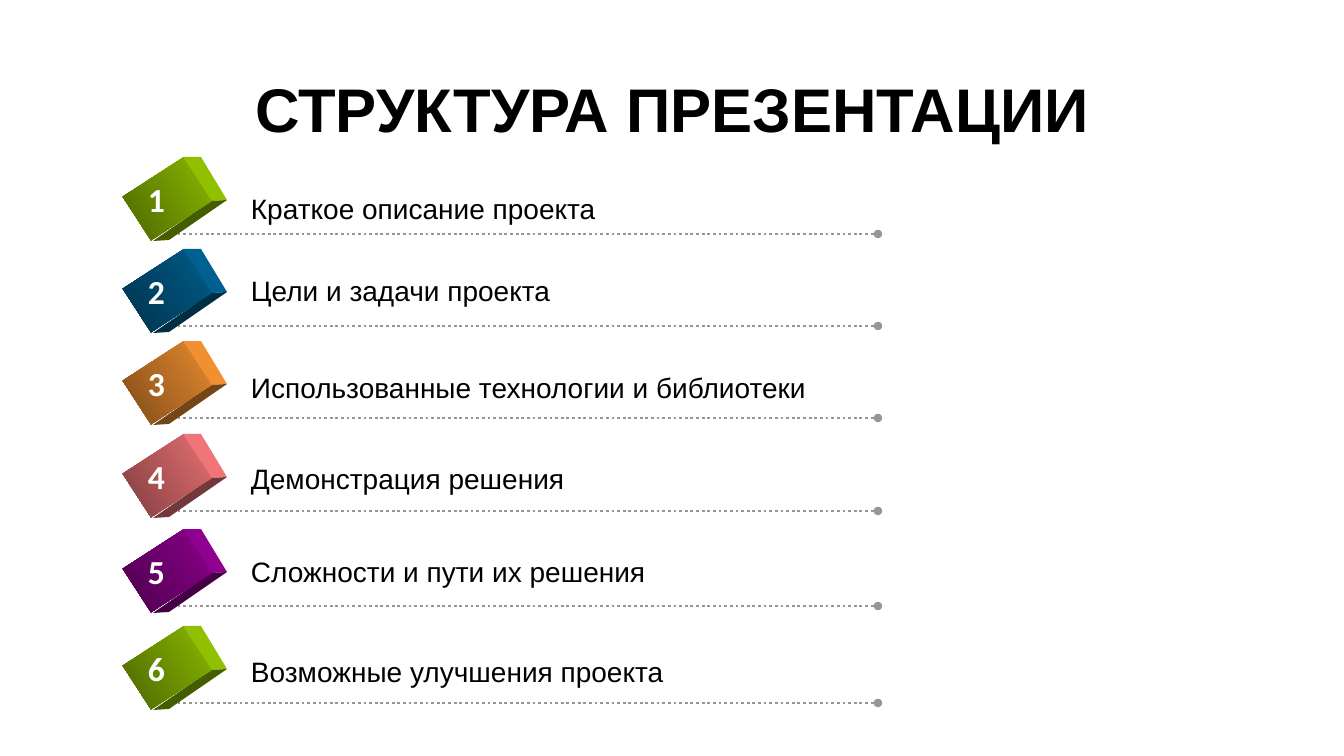
from lxml import etree
from pptx import Presentation
from pptx.dml.color import RGBColor
from pptx.enum.dml import MSO_LINE
from pptx.enum.shapes import MSO_CONNECTOR, MSO_SHAPE
from pptx.enum.text import MSO_ANCHOR, PP_ALIGN
from pptx.oxml.ns import qn
from pptx.util import Emu, Pt

PX = 914400 / 100.8
COLORS = {
    "black": "000000", "white": "FFFFFF", "line": "969696",
    "green": "99CC00", "blue": "006699", "orange": "FF9933",
    "pink": "FF7C80", "purple": "990099",
}
TITLE_FONT = {"name": "Arial", "size": Pt(44), "bold": True}
LABEL_FONT = {"name": "Arial", "size": Pt(20), "bold": False}
DIGIT_FONT = {"name": "Calibri", "size": Pt(24), "bold": True}

# Item text, cube colour, y of the dotted line, top of the label
ITEMS = [
    ("Краткое описание проекта", "green", 234, 187),
    ("Цели и задачи проекта", "blue", 326, 269),
    ("Использованные технологии и библиотеки", "orange", 418, 366),
    ("Демонстрация решения", "pink", 511, 457),
    ("Сложности и пути их решения", "purple", 606, 550),
    ("Возможные улучшения проекта", "green", 703, 650),
]
# Cube sides: x, y from the dotted line, brightness
SIDES = [
    ([(183, -77), (201, -77), (227, -34), (211, -33)], 0.94),
    ([(211, -33), (227, -34), (169, 6), (153, 7)], 0.45),
]


def shade(color, part=1):
    return RGBColor(*(round(v * part) for v in RGBColor.from_string(COLORS[color])))


def write(tf, text, font, color):
    p = tf.paragraphs[0]
    r = p.add_run()
    r.text = text
    for name, value in font.items():
        setattr(r.font, name, value)
    r.font.color.rgb = shade(color)
    return p


prs = Presentation()
prs.slide_width, prs.slide_height = Emu(round(1344 * PX)), Emu(round(756 * PX))
s = prs.slides.add_slide(prs.slide_layouts[5])

# Title
title = s.shapes.title
title.left, title.top, title.width, title.height = (
    Emu(round(v * PX)) for v in (93, 40, 1159, 146))
title.text_frame.vertical_anchor = MSO_ANCHOR.MIDDLE
p = write(title.text_frame, "СТРУКТУРА ПРЕЗЕНТАЦИИ", TITLE_FONT, "black")
p.alignment = PP_ALIGN.CENTER
p.line_spacing = 0.9

for number, (text, color, y, label_top) in enumerate(ITEMS, 1):
    row = s.shapes.add_group_shape().shapes

    # Dotted line with a round end
    ends = (Emu(round(v * PX)) for v in (172, y, 878, y))
    line = row.add_connector(MSO_CONNECTOR.STRAIGHT, *ends)
    line.line.color.rgb = shade("line")
    line.line.width = Pt(2)
    line.line.dash_style = MSO_LINE.ROUND_DOT
    etree.SubElement(line.line._ln, qn("a:tailEnd"), type="oval")
    etree.SubElement(line._element.spPr, qn("a:effectLst"))

    # Cube sides
    for points, part in SIDES:
        corners = [(x, y + dy) for x, dy in points]
        builder = row.build_freeform(*corners[0], scale=PX)
        builder.add_line_segments(corners[1:], close=True)
        sp = builder.convert_to_shape()
        sp.shadow.inherit = False
        sp.fill.solid()
        sp.fill.fore_color.rgb = shade(color, part)
        sp.line.fill.background()

    # Cube front
    box = (Emu(round(v * PX)) for v in (141, y - 71, 52, 72))
    sp = row.add_shape(MSO_SHAPE.RECTANGLE, *box)
    sp.rotation = 57
    sp.shadow.inherit = False
    sp.line.fill.background()
    sp.fill.gradient()
    sp.fill.gradient_angle = 270
    for stop, part in zip(sp.fill.gradient_stops, (0.9, 0.5)):
        stop.color.rgb = shade(color, part)

    # Label and number
    for words, font, ink, place in (
        (text, LABEL_FONT, "black", (241, label_top, 580, 44)),
        (str(number), DIGIT_FONT, "white", (138, y - 60, 52, 50)),
    ):
        tb = row.add_textbox(*(Emu(round(v * PX)) for v in place))
        tb.text_frame.word_wrap = False
        write(tb.text_frame, words, font, ink)

prs.save("out.pptx")
